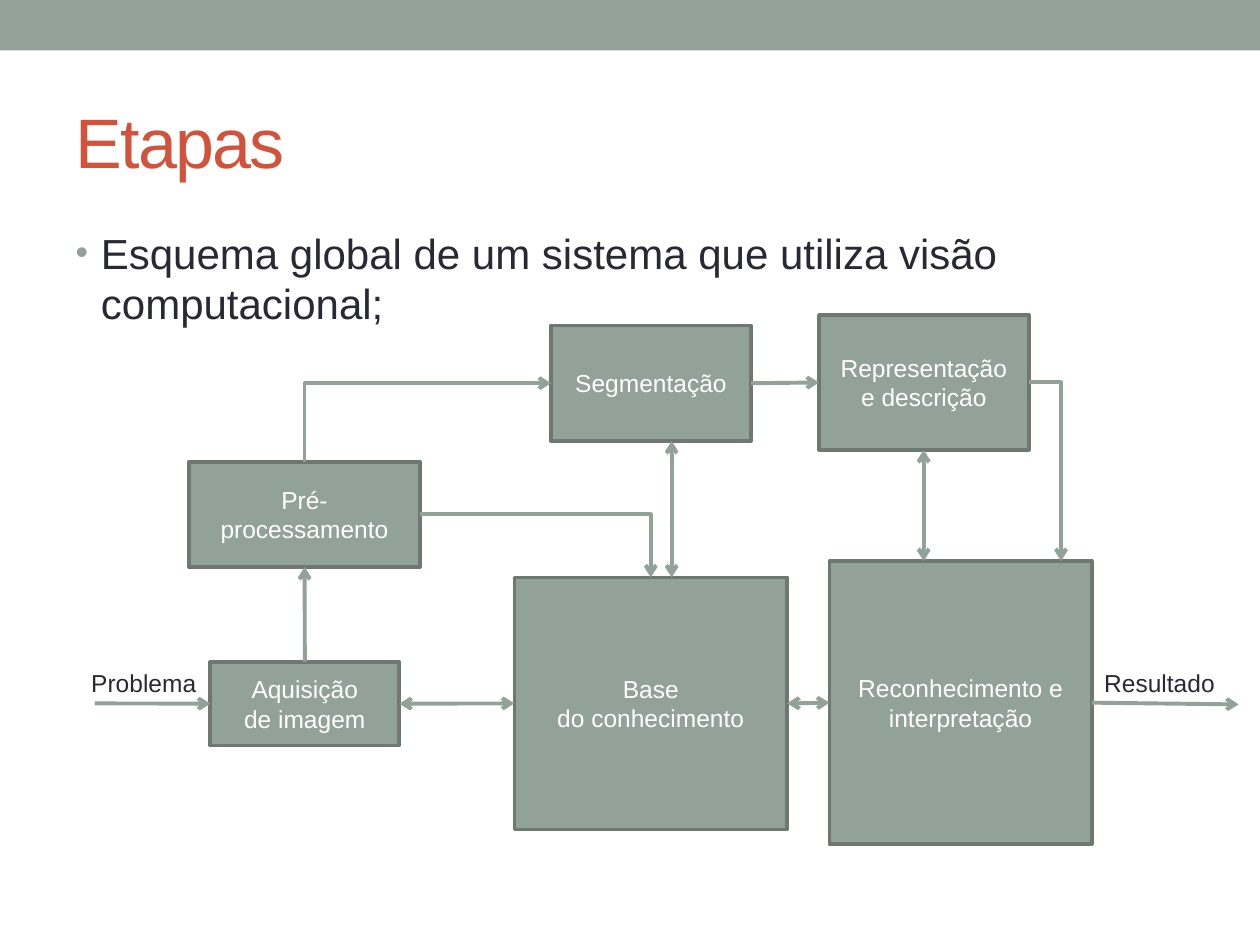
from lxml import etree
from pptx import Presentation
from pptx.dml.color import RGBColor
from pptx.enum import shapes, text
from pptx.oxml import ns
from pptx.util import Cm, Pt

SAGE = RGBColor(0x93, 0xA2, 0x99)
SAGE_DARK = RGBColor(0x6D, 0x78, 0x71)
RUST = RGBColor(0xD2, 0x53, 0x3C)
INK = RGBColor(0x29, 0x29, 0x34)
WHITE = RGBColor(0xFF, 0xFF, 0xFF)
FONT = "Arial"
TOP, LEFT, BOTTOM, RIGHT = range(4)

HEADING = "Etapas"
BULLET = "Esquema global de um sistema que utiliza visão computacional;"

# Stage: (text, left, top, width, height) in cm
STAGES = {
    "acquisition": ("Aquisição\nde imagem", 4.24, 13.34, 3.81, 1.69),
    "preprocessing": ("Pré-processamento", 3.81, 9.31, 4.66, 2.12),
    "segmentation": ("Segmentação", 11.11, 6.56, 4.03, 2.33),
    "description": ("Representação\ne descrição", 16.51, 6.35, 4.23, 2.72),
    "knowledge": ("Base\ndo conhecimento", 10.37, 11.64, 5.5, 5.08),
    "recognition": ("Reconhecimento e interpretação", 16.72, 11.31, 5.29, 5.71),
}
LABELS = [("Problema", 1.59, 13.34, 2.64, 0.86),
          ("Resultado", 22.01, 13.34, 2.74, 0.86)]

# Arrow: (from, to, heads); an end is a (stage, side) pair or an (x, y) point in cm
STRAIGHT_ARROWS = [
    ((1.91, 14.18), ("acquisition", LEFT), "tail"),
    (("acquisition", RIGHT), ("knowledge", LEFT), "head tail"),
    (("acquisition", TOP), ("preprocessing", BOTTOM), "tail"),
    (("segmentation", RIGHT), ("description", LEFT), "tail"),
    (("knowledge", RIGHT), ("recognition", LEFT), "head tail"),
    ((18.62, 9.07), (18.62, 11.31), "head tail"),
    (("recognition", RIGHT), (24.97, 14.2), "tail"),
    ((13.54, 8.89), (13.54, 11.64), "head tail"),
]
# These run sideways first, then up or down
BENT_ARROWS = [
    (("segmentation", LEFT), ("preprocessing", TOP), "head"),
    (("preprocessing", RIGHT), ("knowledge", TOP), "tail"),
    (("description", RIGHT), (21.39, 11.31), "tail"),
]


def style(paragraph, size, color):
    font = paragraph.font
    font.name, font.size, font.color.rgb = FONT, Pt(size), color


def place(shape, *box):
    shape.left, shape.top, shape.width, shape.height = map(Cm, box)


def add_rectangle(slide, *box):
    rectangle = slide.shapes.add_shape(shapes.MSO_SHAPE.RECTANGLE, *map(Cm, box))
    rectangle.shadow.inherit = False
    rectangle.fill.solid()
    rectangle.fill.fore_color.rgb = SAGE
    return rectangle


def add_stage(slide, words, *box):
    stage = add_rectangle(slide, *box)
    stage.line.color.rgb = SAGE_DARK
    stage.line.width = Pt(2.08)
    frame = stage.text_frame
    frame.text = words
    frame.word_wrap = True
    frame.vertical_anchor = text.MSO_ANCHOR.MIDDLE
    for paragraph in frame.paragraphs:
        paragraph.alignment = text.PP_ALIGN.CENTER
        style(paragraph, 14, WHITE)
    return stage


def add_label(slide, words, *box):
    frame = slide.shapes.add_textbox(*map(Cm, box)).text_frame
    frame.text = words
    frame.word_wrap = False
    frame.auto_size = text.MSO_AUTO_SIZE.SHAPE_TO_FIT_TEXT
    style(frame.paragraphs[0], 14, INK)


def locate(end, stages):
    """Slide position of an arrow end: a side's middle or a free point."""
    if end[0] not in stages:
        return Cm(end[0]), Cm(end[1])
    stage, side = stages[end[0]], end[1]
    x = stage.left + stage.width * {LEFT: 0, RIGHT: 2}.get(side, 1) // 2
    y = stage.top + stage.height * {TOP: 0, BOTTOM: 2}.get(side, 1) // 2
    return x, y


def add_arrow(slide, stages, start, end, heads, bent=False):
    kind = shapes.MSO_CONNECTOR.ELBOW if bent else shapes.MSO_CONNECTOR.STRAIGHT
    arrow = slide.shapes.add_connector(
        kind, *locate(start, stages), *locate(end, stages))
    properties = arrow._element.spPr
    if bent:
        properties.find(ns.qn("a:prstGeom")).set("prst", "bentConnector2")
    else:
        if start[0] in stages:
            arrow.begin_connect(stages[start[0]], start[1])
        if end[0] in stages:
            arrow.end_connect(stages[end[0]], end[1])
    arrow.line.color.rgb = SAGE
    arrow.line.width = Pt(2.25)
    outline = properties.find(ns.qn("a:ln"))
    for head in heads.split():
        etree.SubElement(outline, ns.qn(f"a:{head}End"), type="arrow")
    etree.SubElement(properties, ns.qn("a:effectLst"))


def add_heading(slide):
    title = slide.shapes.title
    place(title, 1.27, 1.47, 22.86, 2.74)
    frame = title.text_frame
    frame.text = HEADING
    frame.auto_size = text.MSO_AUTO_SIZE.NONE
    frame.vertical_anchor = text.MSO_ANCHOR.MIDDLE
    paragraph = frame.paragraphs[0]
    paragraph.alignment = text.PP_ALIGN.LEFT
    style(paragraph, 40, RUST)
    paragraph.runs[0]._r.get_or_add_rPr().set("spc", "-100")


def add_bullet(slide):
    body = slide.placeholders[1]
    place(body, 1.27, 4.45, 22.86, 2.54)
    frame = body.text_frame
    frame.text = BULLET
    frame.auto_size = text.MSO_AUTO_SIZE.NONE
    paragraph = frame.paragraphs[0]
    layout = paragraph._p.get_or_add_pPr()
    layout.set("marL", str(Cm(0.51)))
    layout.set("indent", str(-Cm(0.51)))
    color = etree.SubElement(layout, ns.qn("a:buClr"))
    etree.SubElement(color, ns.qn("a:srgbClr"), val=str(SAGE))
    etree.SubElement(layout, ns.qn("a:buSzPct"), val="85000")
    etree.SubElement(layout, ns.qn("a:buFont"), typeface=FONT)
    etree.SubElement(layout, ns.qn("a:buChar"), char="•")
    style(paragraph, 24, INK)


def main():
    deck = Presentation()
    deck.slide_width, deck.slide_height = Cm(25.4), Cm(19.05)
    slide = deck.slides.add_slide(deck.slide_layouts[1])
    add_rectangle(slide, 0, 0, 25.4, 1.02).line.fill.background()
    add_heading(slide)
    add_bullet(slide)
    stages = {key: add_stage(slide, *stage) for key, stage in STAGES.items()}
    for label in LABELS:
        add_label(slide, *label)
    for arrow in STRAIGHT_ARROWS:
        add_arrow(slide, stages, *arrow)
    for arrow in BENT_ARROWS:
        add_arrow(slide, stages, *arrow, bent=True)
    deck.save("out.pptx")


if __name__ == "__main__":
    main()
